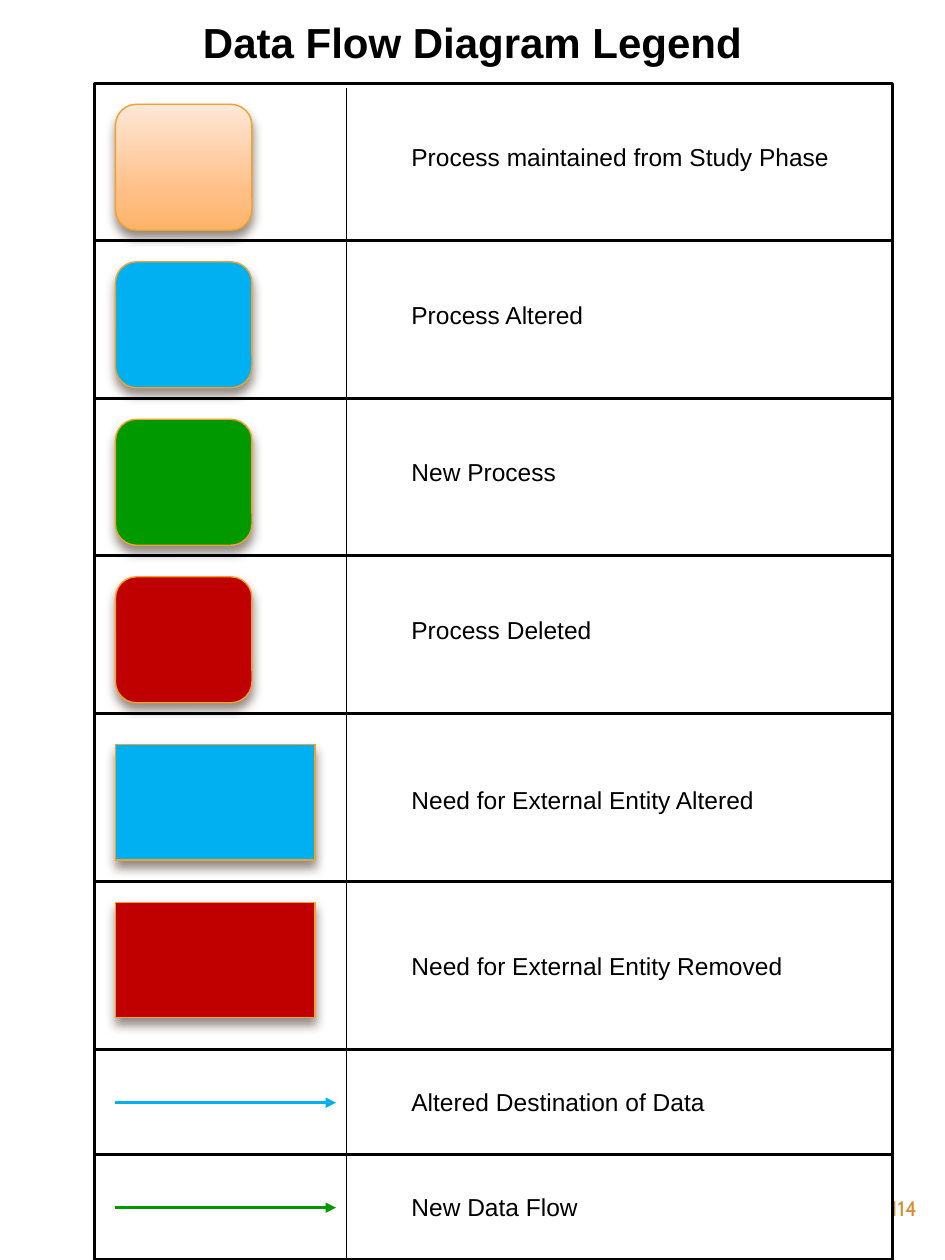
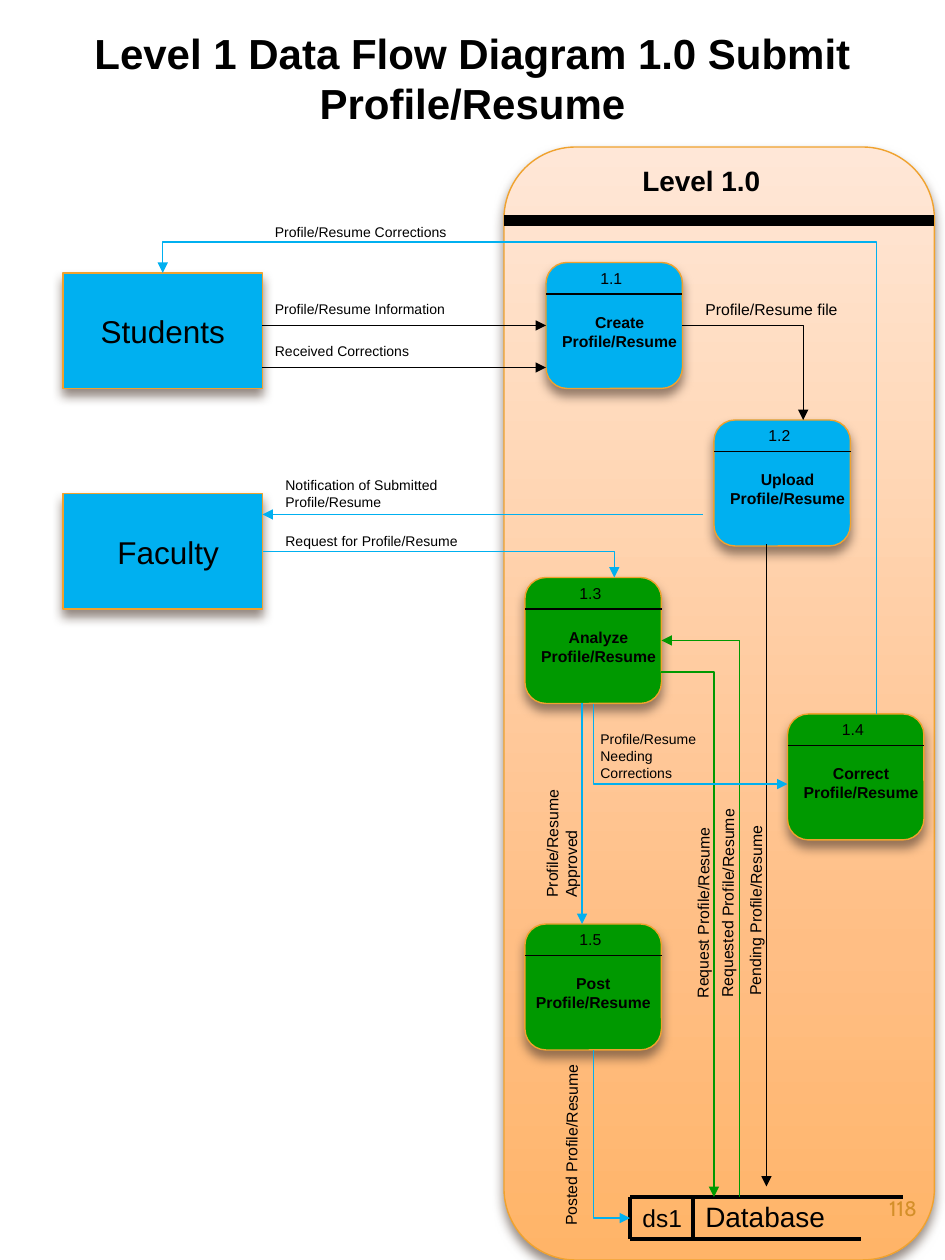
"""Build a data flow diagram legend and a level 1 data flow diagram."""
from copy import deepcopy
from dataclasses import dataclass, field

from lxml import etree
from pptx import Presentation
from pptx.dml.color import RGBColor
from pptx.enum.shapes import MSO_CONNECTOR, MSO_SHAPE
from pptx.enum.text import MSO_ANCHOR, MSO_AUTO_SIZE, PP_ALIGN
from pptx.oxml.ns import qn
from pptx.util import Pt

RECT, ROUND = MSO_SHAPE.RECTANGLE, MSO_SHAPE.ROUNDED_RECTANGLE
LINE = MSO_CONNECTOR.STRAIGHT
TOP = MSO_ANCHOR.TOP
FIT, FIXED = MSO_AUTO_SIZE.SHAPE_TO_FIT_TEXT, MSO_AUTO_SIZE.NONE
LEFT, MID, RIGHT = PP_ALIGN.LEFT, PP_ALIGN.CENTER, PP_ALIGN.RIGHT


def font(size, bold=False, name="Arial"):
    """Return the format values of one text style."""
    return {"name": name, "size": Pt(size), "bold": bold}


@dataclass
class Theme:
    """Colours, type styles and line widths."""
    black: str = "000000"
    blue: str = "00B0F0"
    green: str = "009900"
    red: str = "C00000"
    edge: str = "F0A22E"
    shade: str = "4E3B30"
    page: str = "D48F29"
    peach: tuple = ((0, "FFE7D7"), (0.72, "FFBE84"), (1, "FFB468"))
    thin: float = 0.75
    hair: float = 0.79
    frame: float = 1.5
    store: float = 2.25
    band: float = 6
    type: dict = field(default_factory=lambda: {
        "title": font(24, True), "head": font(16, True), "entity": font(18),
        "data": font(16), "body": font(14), "step": font(9, True),
        "note": font(9), "flow": font(8), "page": font(12, name="Cabin")})


class Deck:
    """Hold the style and the current slide."""

    def __init__(self, theme):
        """Start an empty portrait deck."""
        self.theme = theme
        self.prs = Presentation()
        self.prs.slide_width, self.prs.slide_height = Pt(540), Pt(720)
        self.slide = None

    def fill_in(self, frame, text, style, align, color=None):
        """Fill a text frame with one styled paragraph."""
        para = frame.paragraphs[0]
        para.alignment = align
        run = para.add_run()
        run.text = text
        for key, value in self.theme.type[style].items():
            setattr(run.font, key, value)
        run.font.color.rgb = RGBColor.from_string(color or self.theme.black)

    def page(self, title, top, height):
        """Add a slide and set its title."""
        self.slide = self.prs.slides.add_slide(self.prs.slide_layouts[5])
        shape = self.slide.shapes.title
        place = {"left": 0, "top": top, "width": 540, "height": height}
        for key, value in place.items():
            setattr(shape, key, Pt(value))
        frame = shape.text_frame
        for key, value in {"vertical_anchor": TOP, "auto_size": FIXED, "word_wrap": True}.items():
            setattr(frame, key, value)
        self.fill_in(frame, title, "title", MID)

    def text(self, text, box, style, align=LEFT, turn=0, color=None):
        """Add a wrapped text box."""
        shape = self.slide.shapes.add_textbox(*map(Pt, box))
        shape.rotation = turn
        shape.text_frame.word_wrap = True
        shape.text_frame.auto_size = FIT
        self.fill_in(shape.text_frame, text, style, align, color)

    def number(self, text):
        """Add the page number."""
        self.text(text, (486, 679.5, 45, 26), "page", RIGHT, color=self.theme.page)

    def frame(self, box):
        """Add an unfilled cell with a black outline."""
        shape = self.slide.shapes.add_shape(RECT, *map(Pt, box))
        shape.shadow.inherit = False
        shape.fill.background()
        shape.line.color.rgb = RGBColor.from_string(self.theme.black)
        shape.line.width = Pt(self.theme.frame)

    def block(self, kind, box, fill):
        """Add a solid or graded block with a soft shadow."""
        shape = self.slide.shapes.add_shape(kind, *map(Pt, box))
        props = shape._element.spPr
        if isinstance(fill, str):
            shape.fill.solid()
            shape.fill.fore_color.rgb = RGBColor.from_string(fill)
        else:
            shape.fill.gradient()
            shape.fill.gradient_angle = 270
            stops = props.find(".//" + qn("a:gsLst"))
            stops.append(deepcopy(stops[-1]))
            for stop, (place, color) in zip(shape.fill.gradient_stops, fill):
                stop.position = place
                stop.color.rgb = RGBColor.from_string(color)
        shape.line.color.rgb = RGBColor.from_string(self.theme.edge)
        shape.line.width = Pt(self.theme.hair)
        shape.shadow.inherit = False
        cast = etree.SubElement(props.find(qn("a:effectLst")), qn("a:outerShdw"), {
            "blurRad": str(Pt(6)), "dist": str(Pt(4)), "dir": "5400000", "rotWithShape": "0"})
        tint = etree.SubElement(cast, qn("a:srgbClr"), val=self.theme.shade)
        etree.SubElement(tint, qn("a:alpha"), val="60000")

    def line(self, ends, color=None, width=None, arrow=False):
        """Add a straight line, with an arrowhead if asked."""
        link = self.slide.shapes.add_connector(LINE, *map(Pt, ends))
        link.line.color.rgb = RGBColor.from_string(color or self.theme.black)
        link.line.width = Pt(width or self.theme.thin)
        props = link._element.spPr
        if arrow:
            etree.SubElement(props.find(qn("a:ln")), qn("a:tailEnd"), type="triangle")
        etree.SubElement(props, qn("a:effectLst"))
        return link

    def bend(self, ends, color, down=False, adj=None):
        """Add an elbow arrow that leaves sideways, or up or down."""
        x1, y1, x2, y2 = ends
        wide, high = abs(x2 - x1), abs(y2 - y1)
        flips = {"flipH": x2 < x1, "flipV": y2 < y1}
        if down:
            wide, high = high, wide
            flips = {"flipH": y2 > y1, "flipV": x2 < x1}
        left, top = (x1 + x2 - wide) / 2, (y1 + y2 - high) / 2
        link = self.line((left, top, left + wide, top + high), color, arrow=True)
        props = link._element.spPr
        form = props.find(qn("a:xfrm"))
        for key, value in flips.items():
            form.set(key, str(int(value)))
        if down:
            form.set("rot", "16200000")
        shape = props.find(qn("a:prstGeom"))
        shape.set("prst", "bentConnector2" if adj is None else "bentConnector3")
        if adj is not None:
            etree.SubElement(shape.find(qn("a:avLst")), qn("a:gd"),
                             name="adj1", fmla=f"val {round(adj * 100000)}")

    def step(self, code, name, x, y, fill, shift=0):
        """Add a numbered process."""
        self.block(ROUND, (x, y, 78, 72), fill)
        self.line((x, y + 18, x + 78, y + 18))
        self.text(code, (x + 24, y, 54, 18), "note")
        self.text(name + " Profile/Resume", (x + shift, y + 25, 84, 29), "step", MID)


def legend(deck):
    """Build the legend slide."""
    look = deck.theme
    deck.page("Data Flow Diagram Legend", 6, 36)
    deck.number("114")
    rows = (
        ("Process maintained from Study Phase", 90, 30, ROUND, 12, look.peach),
        ("Process Altered", 90, 30, ROUND, 12, look.blue),
        ("New Process", 90, 30, ROUND, 12, look.green),
        ("Process Deleted", 90, 30, ROUND, 12, look.red),
        ("Need for External Entity Altered", 96, 37.5, RECT, 18, look.blue),
        ("Need for External Entity Removed", 96, 36.5, RECT, 12, look.red),
        ("Altered Destination of Data", 60, 18, LINE, 30.5, look.blue),
        ("New Data Flow", 60, 18, LINE, 30.5, look.green))
    sizes = {ROUND: (78, 72), RECT: (114, 66)}
    top = 47.6
    for name, high, drop, kind, gap, fill in rows:
        deck.frame((54, top, 456, high))
        y = top + gap
        if kind is LINE:
            deck.line((66, y, 192, y), fill, look.frame, True)
        else:
            deck.block(kind, (66, y, *sizes[kind]), fill)
        deck.text(name, (228, top + drop, 270, 24), "body")
        top += high
    deck.line((198, 50.4, 198, 720), width=look.hair)


def diagram(deck):
    """Build the level 1 diagram slide."""
    look = deck.theme
    deck.page("Level 1 Data Flow Diagram 1.0 Submit Profile/Resume", 12, 65.5)
    deck.block(ROUND, (288, 84, 246, 636), look.peach)
    deck.text("Level 1.0", (360, 90, 83, 27), "head")
    deck.line((288, 126, 534, 126), width=look.band)

    for name, y, x, wide, align in (("Students", 156, 48, 90, MID),
                                    ("Faculty", 282, 60, 114, LEFT)):
        deck.block(RECT, (36, y, 114, 66), look.blue)
        deck.text(name, (x, y + 19, wide, 29), "entity", align)

    for step in (("1.1", "Create", 312, 150, look.blue),
                 ("1.2", "Upload", 408, 240, look.blue),
                 ("1.3", "Analyze", 300, 330, look.green),
                 ("1.4", "Correct", 450, 408, look.green),
                 ("1.5", "Post", 300, 528, look.green, -3)):
        deck.step(*step)

    for ends in ((360, 684, 360, 708), (360, 684, 516, 684),
                 (360, 708, 492, 708), (396, 684, 396, 708)):
        deck.line(ends, width=look.store)
    deck.text("ds1", (360, 684, 54, 24), "body")
    deck.text("Database", (396, 682, 114, 27), "data")

    for ends, color in (((150, 186, 312, 186), look.black),
                        ((150, 210, 312, 210), look.black),
                        ((330, 294, 150, 294), look.blue),
                        ((438, 311, 438, 678), look.black),
                        ((332.6, 402, 332.6, 528), look.blue)):
        deck.line(ends, color, arrow=True)
    deck.line((330, 294, 402, 294), look.blue)

    for bend in (((390, 186, 459, 240), look.black),
                 ((150, 315, 351, 330), look.blue),
                 ((422.5, 684, 378, 366), look.green, True),
                 ((378, 384, 408, 684), look.green, True, 0),
                 ((339, 402, 450, 448), look.blue, True),
                 ((339, 600, 360, 696), look.blue, True),
                 ((501, 408, 93, 156), look.blue, True, 1.07)):
        deck.bend(*bend)

    for name, x, y, wide, high in (
            ("Profile/Resume Corrections", 150, 124, 138, 32),
            ("Profile/Resume Information", 150, 168, 138, 17),
            ("Received Corrections", 150, 192, 114, 17),
            ("Notification of Submitted Profile/Resume", 156, 269, 150, 27),
            ("Request for Profile/Resume", 156, 301, 114, 17),
            ("Profile/Resume Needing Corrections", 336, 414, 78, 36)):
        deck.text(name, (x, y, wide, high), "flow")
    deck.text("Profile/Resume file", (396, 168, 114, 18), "note")

    for name, x, y, wide, high in (
            ("Pending Profile/Resume", 330, 465, 204, 18),
            ("Requested Profile/Resume", 314, 466, 204, 18),
            ("Request Profile/Resume", 300, 466.5, 204, 18),
            ("Profile/Resume Approved", 275, 459.5, 92, 29),
            ("Posted Profile/Resume", 266.5, 638.5, 120, 18)):
        deck.text(name, (x, y, wide, high), "note", turn=270.4)
    deck.number("118")


def main():
    """Build both slides and save them."""
    deck = Deck(Theme())
    legend(deck)
    diagram(deck)
    deck.prs.save("out.pptx")


if __name__ == "__main__":
    main()
